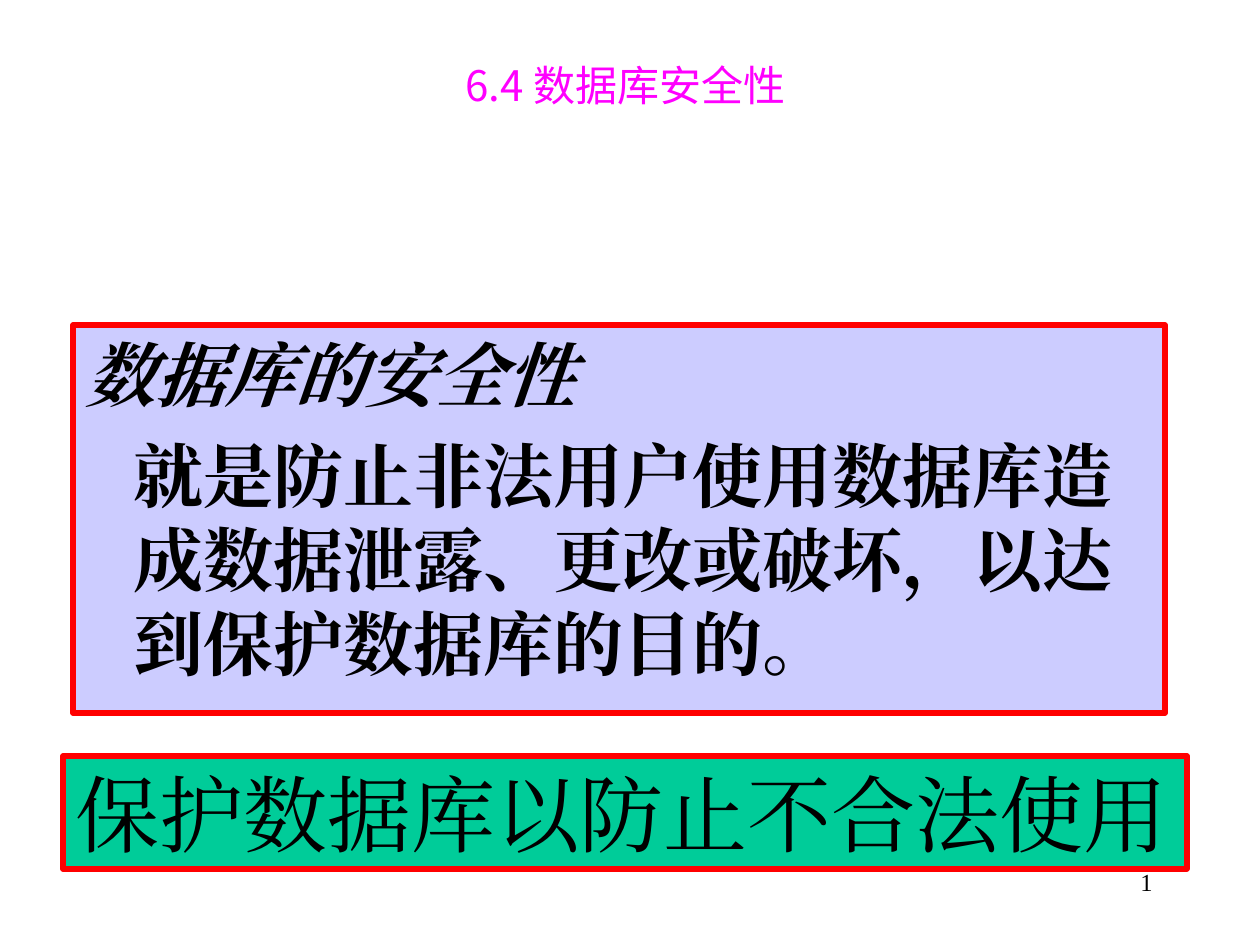
from pptx import Presentation
from pptx.dml.color import RGBColor
from pptx.enum.shapes import MSO_SHAPE
from pptx.enum.text import MSO_ANCHOR, MSO_AUTO_SIZE, PP_ALIGN
from pptx.oxml.ns import qn
from pptx.util import Emu, Inches, Pt
from lxml.etree import SubElement

PX_PER_INCH = 126
SERIF = "Times New Roman"
SANS = "Noto Sans CJK SC"


def px(length):
    return Emu(round(length * 914400 / PX_PER_INCH))


def colour(value):
    return RGBColor.from_string(value)


def place(shape, left, top, width, height):
    shape.left, shape.top = px(left), px(top)
    shape.width, shape.height = px(width), px(height)


def prepare_frame(shape, wrap=True):
    frame = shape.text_frame
    frame.auto_size = MSO_AUTO_SIZE.NONE
    frame.word_wrap = wrap
    frame.vertical_anchor = MSO_ANCHOR.TOP
    return frame


def frame_panel(shape, fill):
    """Give a panel its flat fill and red border."""
    shape.fill.solid()
    shape.fill.fore_color.rgb = colour(fill)
    shape.line.color.rgb = colour("FF0000")
    shape.line.width = Pt(3)


def write(para, text, size, font=SERIF, ink="000000", bold=False,
          italic=False, align=PP_ALIGN.LEFT):
    para.alignment = align
    span = para.add_run()
    span.text = text
    span.font.name = font
    span.font.size = Pt(size)
    span.font.bold = bold
    span.font.italic = italic
    span.font.color.rgb = colour(ink)
    SubElement(span.font._element, qn("a:ea")).set("typeface", font)


def remove_bullet(para, indent):
    properties = para._p.get_or_add_pPr()
    properties.set("marL", str(Inches(indent)))
    properties.set("indent", "0")
    SubElement(properties, qn("a:buNone"))


def add_title(page):
    title = page.shapes.title
    place(title, 95, 53, 1061, 147)
    para = prepare_frame(title, wrap=False).paragraphs[0]
    write(para, "6.4 数据库安全性", 24, SANS, "FF00FF", align=PP_ALIGN.CENTER)


def add_definition(page):
    body = page.placeholders[1]
    place(body, 73, 325, 1092, 388)
    frame_panel(body, "CCCCFF")
    frame = prepare_frame(body)
    term = frame.paragraphs[0]
    remove_bullet(term, 0)
    term.space_before = Pt(0)
    write(term, "数据库的安全性", 40, bold=True, italic=True)
    meaning = frame.add_paragraph()
    remove_bullet(meaning, 0.38)
    meaning.space_before = Pt(10)
    write(meaning, "就是防止非法用户使用数据库造成数据泄露、更改或破坏，以达到保护数据库的目的。",
          40, bold=True)


def add_banner(page):
    banner = page.shapes.add_shape(MSO_SHAPE.RECTANGLE, 0, 0, 0, 0)
    place(banner, 63, 756, 1124, 113)
    banner.shadow.inherit = False
    frame_panel(banner, "00CC99")
    write(prepare_frame(banner).paragraphs[0], "保护数据库以防止不合法使用", 48)


def add_page_number(page):
    box = page.shapes.add_textbox(0, 0, 0, 0)
    place(box, 903, 861, 262, 63)
    write(prepare_frame(box).paragraphs[0], "1", 14, align=PP_ALIGN.RIGHT)


def main():
    deck = Presentation()
    deck.slide_width, deck.slide_height = Inches(10), Inches(7.5)
    page = deck.slides.add_slide(deck.slide_layouts[1])
    add_title(page)
    add_definition(page)
    add_banner(page)
    add_page_number(page)
    deck.save("out.pptx")


if __name__ == "__main__":
    main()
